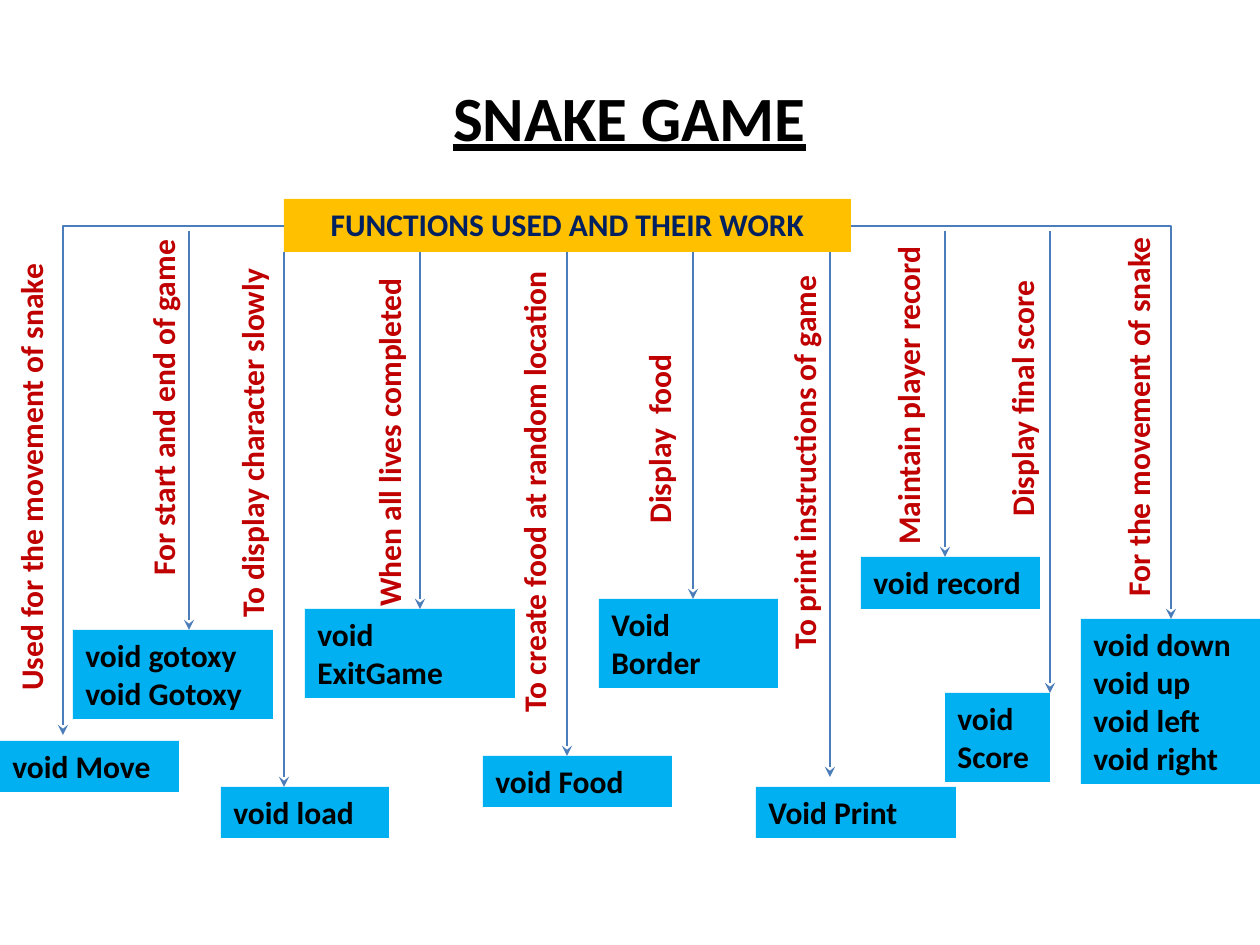
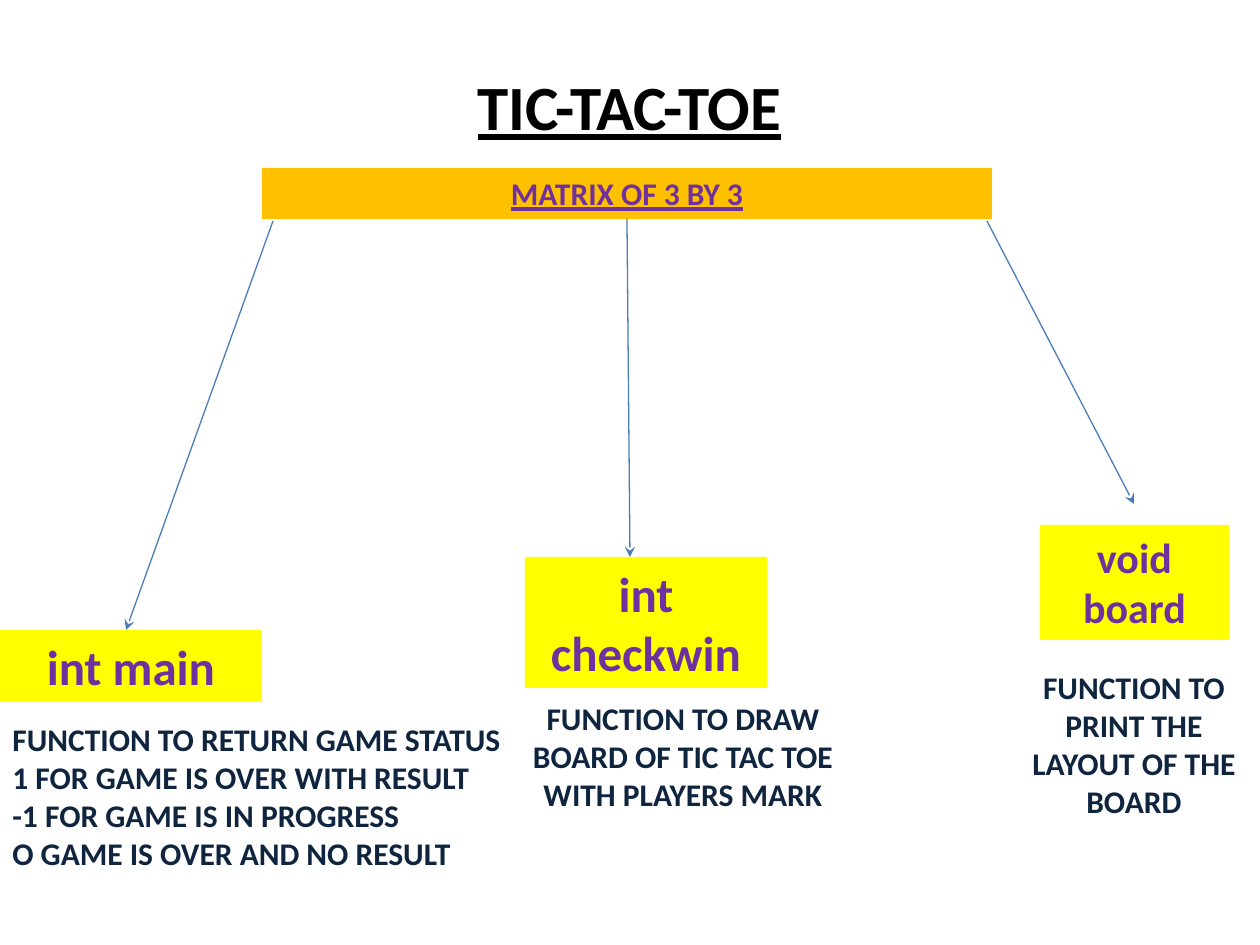
from pptx import Presentation
from pptx.dml.color import RGBColor
from pptx.enum.shapes import MSO_CONNECTOR, MSO_SHAPE
from pptx.enum.text import MSO_ANCHOR, PP_ALIGN
from pptx.oxml.ns import qn
from pptx.util import Emu, Pt
from lxml.etree import SubElement

SCALE = 914400 / 126
FONT = "Calibri"
COLORS = {
    "black": "000000", "white": "FFFFFF", "gold": "FFC000", "sky": "00B0F0",
    "yellow": "FFFF00", "line": "4A7DBA", "navy": "002060", "red": "C00000",
    "purple": "7030A0", "ink": "0F243E",
}
BODY = {"size": 18, "bold": True}
TITLE = {"size": 36, "bold": True, "underline": True}
LABEL_H = 51

FUNCTIONS = [
    (("void Move",), (0, 741, 179, 51), None,
     "Used for the movement of snake", (31, 393, 620)),
    (("void gotoxy", "void Gotoxy"), (73, 630, 200, 89), (189, 231, 630),
     "For start and end of game", (163, 357, 462)),
    (("void load",), (221, 787, 168, 51), (284, 252, 787),
     "To display character slowly", (252, 388, 484)),
    (("void ExitGame",), (305, 609, 210, 89), (420, 252, 609),
     "When all lives completed", (389, 362, 514)),
    (("void Food",), (483, 756, 189, 51), (567, 252, 756),
     "To create food at random location", (534, 425, 600)),
    (("Void Border",), (599, 599, 179, 89), (693, 252, 599),
     "Display  food", (659, 352, 368)),
    (("Void Print",), (756, 787, 200, 51), (830, 252, 777),
     "To print instructions of game", (804, 420, 484)),
    (("void record",), (861, 557, 179, 52), (945, 231, 557),
     "Maintain player record", (908, 373, 368)),
    (("void Score",), (945, 693, 105, 89), (1050, 231, 693),
     "Display final score", (1022, 340, 378)),
    (("void down", "void up", "void left", "void right"),
     (1081, 619, 179, 165), None,
     "For the movement of snake", (1138, 388, 441)),
]

RESULTS = (
    "FUNCTION TO RETURN GAME STATUS",
    "1 FOR GAME IS OVER WITH RESULT",
    "-1 FOR GAME IS IN PROGRESS",
    "O GAME IS OVER AND NO RESULT",
)


def px(*values):
    return [Emu(round(v * SCALE)) for v in values]


def rgb(name):
    return RGBColor.from_string(COLORS[name])


def write(sp, lines, color, fmt, align=PP_ALIGN.LEFT, anchor=MSO_ANCHOR.TOP):
    tf = sp.text_frame
    tf.word_wrap = True
    tf.vertical_anchor = anchor
    for i, line in enumerate(lines):
        p = tf.add_paragraph() if i else tf.paragraphs[0]
        p.alignment = align
        r = p.add_run()
        r.text = line
        r.font.color.rgb = rgb(color)
        for name, value in {"name": FONT, **fmt}.items():
            setattr(r.font, name, Pt(value) if name == "size" else value)


def add_title(prs, text, height):
    slide = prs.slides.add_slide(prs.slide_layouts[5])
    sp = slide.shapes.title
    sp.left, sp.top, sp.width, sp.height = px(94, 32, 1071, height)
    write(sp, [text], "black", TITLE, PP_ALIGN.CENTER, MSO_ANCHOR.MIDDLE)
    return slide


def add_box(slide, at, fill, lines, color, align=PP_ALIGN.LEFT, **fmt):
    sp = slide.shapes.add_shape(MSO_SHAPE.RECTANGLE, *px(*at))
    sp.shadow.inherit = False
    sp.fill.solid()
    sp.fill.fore_color.rgb = rgb(fill)
    sp.line.fill.background()
    write(sp, lines, color, {**BODY, **fmt}, align)


def add_text(slide, at, text, color, align=PP_ALIGN.LEFT, rotation=0):
    sp = slide.shapes.add_textbox(*px(*at))
    sp.rotation = rotation
    write(sp, [text], color, BODY, align)


def add_label(slide, center_x, center_y, length, text):
    at = (center_x - length / 2, center_y - LABEL_H / 2, length, LABEL_H)
    add_text(slide, at, text, "red", rotation=270)


def add_arrow(slide, start, end, bent=False):
    kind = MSO_CONNECTOR.ELBOW if bent else MSO_CONNECTOR.STRAIGHT
    c = slide.shapes.add_connector(kind, *px(*start, *end))
    c.line.color.rgb = rgb("line")
    c.line.width = Pt(0.75)
    spPr = c._element.spPr
    if bent:
        spPr.find(qn("a:prstGeom")).set("prst", "bentConnector2")
    SubElement(spPr.find(qn("a:ln")), qn("a:tailEnd"), type="stealth")
    SubElement(spPr, qn("a:effectLst"))


def build_snake(prs):
    slide = add_title(prs, "SNAKE GAME", 168)
    add_box(slide, (284, 199, 567, 53), "gold",
            ["FUNCTIONS USED AND THEIR WORK"], "navy", PP_ALIGN.CENTER)
    add_arrow(slide, (284, 226), (63, 735), bent=True)
    add_arrow(slide, (851, 226), (1171, 619), bent=True)
    for names, box, arrow, label, place in FUNCTIONS:
        if arrow:
            x, top, bottom = arrow
            add_arrow(slide, (x, top), (x, bottom))
        add_box(slide, box, "sky", names, "black")
        add_label(slide, *place, label)


def build_tic_tac_toe(prs):
    slide = add_title(prs, "TIC-TAC-TOE", 147)
    center = PP_ALIGN.CENTER
    add_box(slide, (262, 168, 730, 51), "gold", ["MATRIX OF 3 BY 3"],
            "purple", center, underline=True)
    for start, end in [((273, 221), (126, 630)), ((627, 219), (630, 557)),
                       ((987, 221), (1134, 504))]:
        add_arrow(slide, start, end)
    for at, name, size in [((0, 630, 262, 72), "int main", 28),
                           ((525, 557, 242, 131), "int checkwin", 28),
                           ((1040, 525, 189, 115), "void board", 24)]:
        add_box(slide, at, "yellow", [name], "purple", center, size=size)
    add_box(slide, (0, 714, 557, 165), "white", RESULTS, "ink")
    add_text(slide, (494, 693, 378, 127),
             "FUNCTION TO DRAW BOARD OF TIC TAC TOE WITH PLAYERS MARK",
             "ink", center)
    add_text(slide, (1008, 662, 252, 165),
             "FUNCTION TO PRINT THE LAYOUT OF THE BOARD", "ink", center)


def main():
    prs = Presentation()
    prs.slide_width, prs.slide_height = px(1260, 945)
    build_snake(prs)
    build_tic_tac_toe(prs)
    prs.save("out.pptx")


main()
